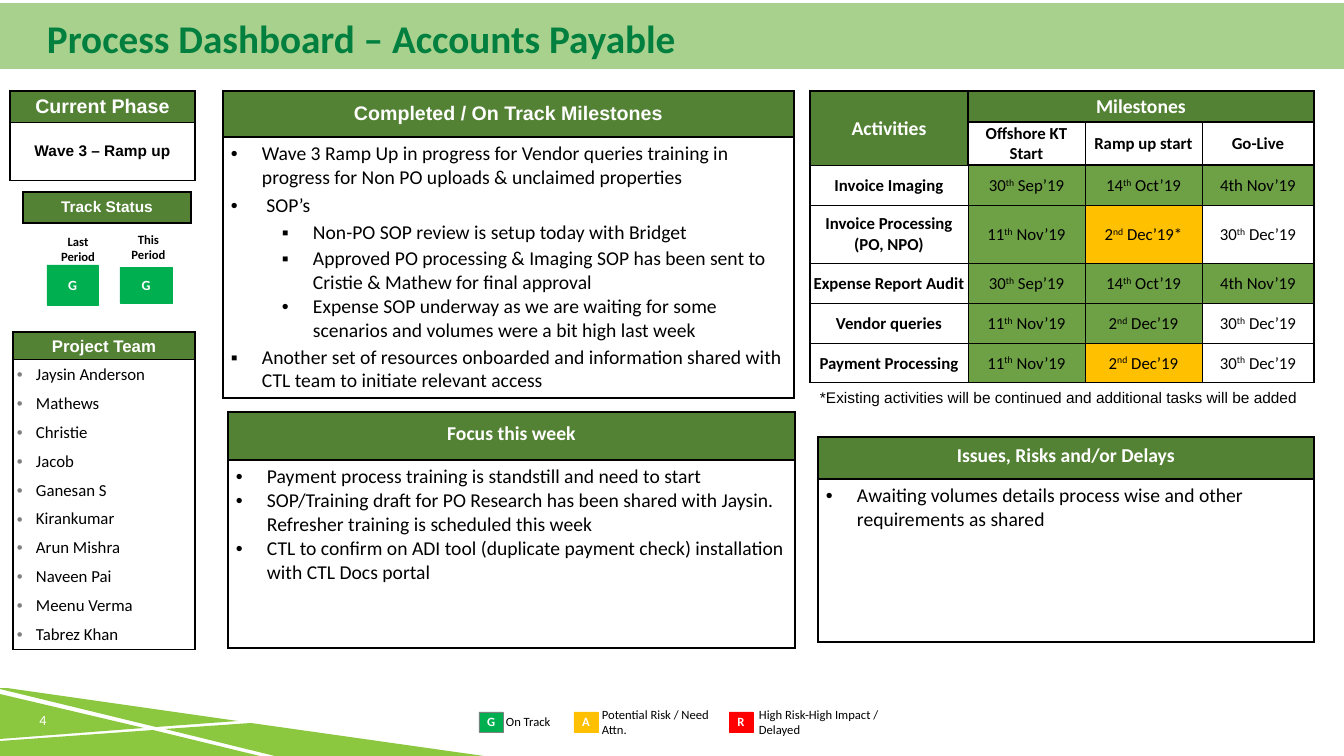
"""Build the accounts payable process dashboard slide."""
from dataclasses import dataclass

from lxml.etree import SubElement
from pptx import Presentation
from pptx.dml.color import RGBColor
from pptx.enum.shapes import MSO_SHAPE
from pptx.enum.text import MSO_ANCHOR, PP_ALIGN
from pptx.oxml.ns import qn
from pptx.util import Pt


@dataclass(frozen=True)
class Theme:
    sans: str = "Arial"
    body: str = "Calibri"
    black: str = "000000"
    white: str = "FFFFFF"
    gray: str = "808080"
    title: str = "007F3E"
    band: str = "A9D18E"
    wave: str = "8CC740"
    header: str = "548235"
    done: str = "6EA046"
    on_track: str = "00B050"
    at_risk: str = "FFC000"
    high_risk: str = "FF0000"
    title_size: int = 28
    large: int = 14
    medium: int = 12
    note: int = 11
    small: int = 10
    tiny: int = 9
    heavy: float = 1
    thin: float = 0.5


THEME = Theme()
PIXEL = 914400 / 100.8
WIDTH, HEIGHT = 1344, 756

TITLE = "Process Dashboard – Accounts Payable"
COMPLETED = [
    (0, "•", 3, "Wave 3 Ramp Up in progress for Vendor queries training in progress for Non PO uploads & unclaimed properties"),
    (0, "•", 3, " SOP’s"),
    (1, "▪", 2, "Non-PO SOP review is setup today with Bridget"),
    (1, "▪", 2, "Approved PO processing & Imaging SOP has been sent to Cristie & Mathew for final approval"),
    (1, "•", 0, "Expense SOP underway as we are waiting for some scenarios and volumes were a bit high last week"),
    (0, "▪", 2, "Another set of resources onboarded and information shared with CTL team to initiate relevant access"),
]
FOCUS = [
    (0, "•", 0, "Payment process training is standstill and need to start"),
    (0, "•", 0, "SOP/Training draft for PO Research has been shared with Jaysin. Refresher training is scheduled this week"),
    (0, "•", 0, "CTL to confirm on ADI tool (duplicate payment check) installation with CTL Docs portal"),
]
ISSUES = [(0, "•", 0, "Awaiting volumes details process wise and other requirements as shared")]
TEAM = ["Jaysin Anderson", "Mathews", "Christie", "Jacob", "Ganesan S", "Kirankumar",
        "Arun Mishra", "Naveen Pai", "Meenu Verma", "Tabrez Khan"]
PANELS = [
    ("Completed / On Track Milestones", THEME.sans, None, COMPLETED, (223, 91, 571), (46, 261)),
    ("Focus this week", THEME.body, 14, FOCUS, (228, 412, 567), (48, 188)),
    ("Issues, Risks and/or Delays", THEME.body, 14, ISSUES, (818, 437, 496), (42, 163)),
]
SUBHEADS = ["Offshore KT Start", "Ramp up start", "Go-Live"]
SEP, OCT, NOV_4 = ("30", "th", " Sep’19"), ("14", "th", " Oct’19"), ("4th Nov’19",)
NOV, DEC_2, DEC_30 = ("11", "th", " Nov’19"), ("2", "nd", " Dec’19"), ("30", "th", " Dec’19")
DEC_2_STARRED = ("2", "nd", " Dec’19*")
DONE, RISK, OPEN = THEME.done, THEME.at_risk, None
ACTIVITIES = [
    ("Invoice Imaging", [(SEP, DONE), (OCT, DONE), (NOV_4, DONE)]),
    ("Invoice Processing (PO, NPO)", [(NOV, DONE), (DEC_2_STARRED, RISK), (DEC_30, OPEN)]),
    ("Expense Report Audit", [(SEP, DONE), (OCT, DONE), (NOV_4, DONE)]),
    ("Vendor queries", [(NOV, DONE), (DEC_2, DONE), (DEC_30, OPEN)]),
    ("Payment Processing", [(NOV, DONE), (DEC_2, RISK), (DEC_30, OPEN)]),
]
MILESTONE_COLUMNS = (158, 117, 117, 112)
MILESTONE_ROWS = (31, 43, 40, 58, 40, 40, 40)
FOOTNOTE = "*Existing activities will be continued and additional tasks will be added"
LEGEND = [
    ("G", THEME.on_track, THEME.gray, 479, "On Track", (496, 709, 70, 25)),
    ("A", THEME.at_risk, THEME.at_risk, 574, "Potential Risk / Need Attn.", (592, 702, 136, 40)),
    ("R", THEME.high_risk, THEME.high_risk, 729, "High Risk-High Impact / Delayed", (749, 702, 162, 40)),
]
STATUS = [("Last Period", (50, 229, 56, 40), (47, 265, 51, 40)),
          ("This Period", (127, 227, 43, 40), (120, 267, 52, 36))]
WAVES = [
    [(153, 730), (0, 741), (0, 756), (260, 756)],
    [(251, 723), (165, 729), (275, 756), (484, 756)],
    [(0, 694), (0, 739), (144, 728)],
    [(0, 688), (0, 689), (156, 727), (238, 721), (7, 688)],
]


def emu(*lengths):
    return [round(length * PIXEL) for length in lengths]


def write(paragraph, texts, size, color=THEME.black, font=THEME.body, bold=False, align=PP_ALIGN.LEFT):
    paragraph.alignment = align
    for index, text in enumerate(texts):
        run = paragraph.add_run()
        run.text = text
        run.font.size, run.font.name, run.font.bold = Pt(size), font, bold
        run.font.color.rgb = RGBColor.from_string(color)
        if index == 1:
            run.font._element.set("baseline", "30000")


def add_bullet(paragraph, symbol, margin, hanging, color):
    properties = paragraph._p.get_or_add_pPr()
    properties.set("marL", str(emu(margin)[0]))
    properties.set("indent", str(-emu(hanging)[0]))
    SubElement(SubElement(properties, qn("a:buClr")), qn("a:srgbClr"), val=color)
    SubElement(properties, qn("a:buFont"), typeface=THEME.sans)
    SubElement(properties, qn("a:buChar"), char=symbol)


def set_margins(holder, margins):
    holder.margin_left, holder.margin_top, holder.margin_right, holder.margin_bottom = emu(*margins)


def add_text(slide, box, text, size, margins=(10, 5, 10, 5), anchor=MSO_ANCHOR.MIDDLE, **style):
    frame = slide.shapes.add_textbox(*emu(*box)).text_frame
    frame.word_wrap, frame.vertical_anchor = True, anchor
    set_margins(frame, margins)
    write(frame.paragraphs[0], [text], size, **style)
    return frame.paragraphs[0]


def add_block(slide, box, fill, line=None, text=None, size=THEME.small):
    shape = slide.shapes.add_shape(MSO_SHAPE.RECTANGLE, *emu(*box))
    shape.shadow.inherit = False
    shape.fill.solid()
    shape.fill.fore_color.rgb = RGBColor.from_string(fill)
    if line:
        shape.line.color.rgb, shape.line.width = RGBColor.from_string(line), Pt(0.25)
    else:
        shape.line.fill.background()
    if text:
        shape.text_frame.vertical_anchor = MSO_ANCHOR.MIDDLE
        set_margins(shape.text_frame, (0, 5, 0, 5))
        write(shape.text_frame.paragraphs[0], [text], size, THEME.white, bold=True, align=PP_ALIGN.CENTER)


def add_grid(slide, left, top, columns, rows):
    box = emu(left, top, sum(columns), sum(rows))
    table = slide.shapes.add_table(len(rows), len(columns), *box).table
    table.first_row = table.horz_banding = False
    for column, width in zip(table.columns, emu(*columns)):
        column.width = width
    for row, height in zip(table.rows, emu(*rows)):
        row.height = height
    return table


def style_cell(cell, fill=None, margins=(4, 4, 4, 4), anchor=MSO_ANCHOR.MIDDLE, weights=(THEME.heavy,) * 4):
    properties = cell._tc.get_or_add_tcPr()
    for side, weight in zip("LRTB", weights):
        line = SubElement(properties, qn(f"a:ln{side}"), w=str(Pt(weight)))
        SubElement(SubElement(line, qn("a:solidFill")), qn("a:srgbClr"), val=THEME.black)
    if fill:
        cell.fill.solid()
        cell.fill.fore_color.rgb = RGBColor.from_string(fill)
    else:
        cell.fill.background()
    set_margins(cell, margins)
    cell.vertical_anchor = anchor


def add_panel(slide, box, rows, heading, size, font=THEME.sans, exact=None):
    left, top, width = box
    table = add_grid(slide, left, top, [width], rows)
    style_cell(table.cell(0, 0), THEME.header)
    paragraph = table.cell(0, 0).text_frame.paragraphs[0]
    write(paragraph, [heading], size, THEME.white, font, True, PP_ALIGN.CENTER)
    if exact:
        paragraph.line_spacing = Pt(exact)
    return table.cell(1, 0) if len(rows) > 1 else None


def fill_list(cell, items, size, margins, hanging, after=0, color=THEME.black):
    style_cell(cell, margins=margins, anchor=MSO_ANCHOR.TOP)
    for index, (level, symbol, before, text) in enumerate(items):
        frame = cell.text_frame
        paragraph = frame.add_paragraph() if index else frame.paragraphs[0]
        paragraph.level = level
        add_bullet(paragraph, symbol, hanging + 51 * level, hanging, color)
        paragraph.space_before, paragraph.space_after = Pt(before), Pt(after)
        write(paragraph, [text], size)


def add_milestones(slide):
    table = add_grid(slide, 810, 91, MILESTONE_COLUMNS, MILESTONE_ROWS)
    head = dict(size=THEME.large, color=THEME.white, bold=True)
    label = dict(size=THEME.medium, bold=True)
    grid = [[(["Activities"], THEME.header, head), (["Milestones"], THEME.header, head)] + [([], THEME.header, head)] * 2,
            [([], THEME.header, head)] + [([text], None, label) for text in SUBHEADS]]
    for activity, dates in ACTIVITIES:
        grid.append([([activity], None, label)] + [(*date, dict(size=THEME.medium)) for date in dates])
    for row, cells in enumerate(grid):
        for column, (texts, fill, style) in enumerate(cells):
            edges = (column == 0 or row == 0, column == 3 or row == 0,
                     row == 0 or (row <= 2 and column > 0), row == 6 or (row < 2 and column > 0))
            weights = [THEME.heavy if edge else THEME.thin for edge in edges]
            cell = table.cell(row, column)
            style_cell(cell, fill, (1, 1, 1, 0), weights=weights)
            write(cell.text_frame.paragraphs[0], texts, align=PP_ALIGN.CENTER, **style)
    table.cell(0, 0).merge(table.cell(1, 0))
    table.cell(0, 1).merge(table.cell(0, 3))


def add_waves(slide):
    builder = slide.shapes.build_freeform(*WAVES[0][0], scale=PIXEL)
    for index, (start, *points) in enumerate(WAVES):
        if index:
            builder.move_to(*start)
        builder.add_line_segments(points, close=True)
    shape = builder.convert_to_shape()
    shape.shadow.inherit = False
    shape.fill.solid()
    shape.fill.fore_color.rgb = RGBColor.from_string(THEME.wave)
    shape.line.fill.background()


def main():
    presentation = Presentation()
    presentation.slide_width, presentation.slide_height = emu(WIDTH, HEIGHT)
    slide = presentation.slides.add_slide(presentation.slide_layouts[6])
    add_waves(slide)
    add_text(slide, (23, 706, 40, 28), "4", THEME.small, (0, 0, 0, 0), color=THEME.white, align=PP_ALIGN.CENTER)
    for letter, fill, line, left, text, box in LEGEND:
        add_block(slide, (left, 712, 24, 20), fill, line, letter, THEME.tiny)
        add_text(slide, box, text, THEME.tiny)
    add_block(slide, (0, 3, WIDTH, 66), THEME.band)
    title = add_text(slide, (47, 17, 1249, 47), TITLE, THEME.title_size, (0, 0, 0, 0), color=THEME.title, bold=True)
    title.line_spacing = 0.9
    for heading, font, exact, items, box, rows in PANELS:
        body = add_panel(slide, box, rows, heading, THEME.large, font, exact)
        fill_list(body, items, THEME.large, (8, 5, 8, 5), 31)
    phase = add_panel(slide, (10, 91, 185), (31, 58), "Current Phase", THEME.large)
    style_cell(phase, THEME.white)
    write(phase.text_frame.paragraphs[0], ["Wave 3 – Ramp up"], THEME.note, font=THEME.sans, bold=True, align=PP_ALIGN.CENTER)
    add_panel(slide, (23, 192, 168), (31,), "Track Status", THEME.note)
    team = add_panel(slide, (13, 332, 182), (27, 290), "Project Team", THEME.medium, exact=14)
    fill_list(team, [(0, "•", 0, name) for name in TEAM], THEME.medium, (4, 5, 4, 5), 19, 6, THEME.gray)
    for text, label_box, chip_box in STATUS:
        add_block(slide, chip_box, THEME.on_track, THEME.on_track, "G")
        add_text(slide, label_box, text, THEME.tiny, (0, 5, 0, 5), bold=True, align=PP_ALIGN.CENTER)
    add_milestones(slide)
    add_text(slide, (810, 383, 504, 29), FOOTNOTE, THEME.note, anchor=MSO_ANCHOR.TOP, font=THEME.sans)
    presentation.save("out.pptx")


if __name__ == "__main__":
    main()
